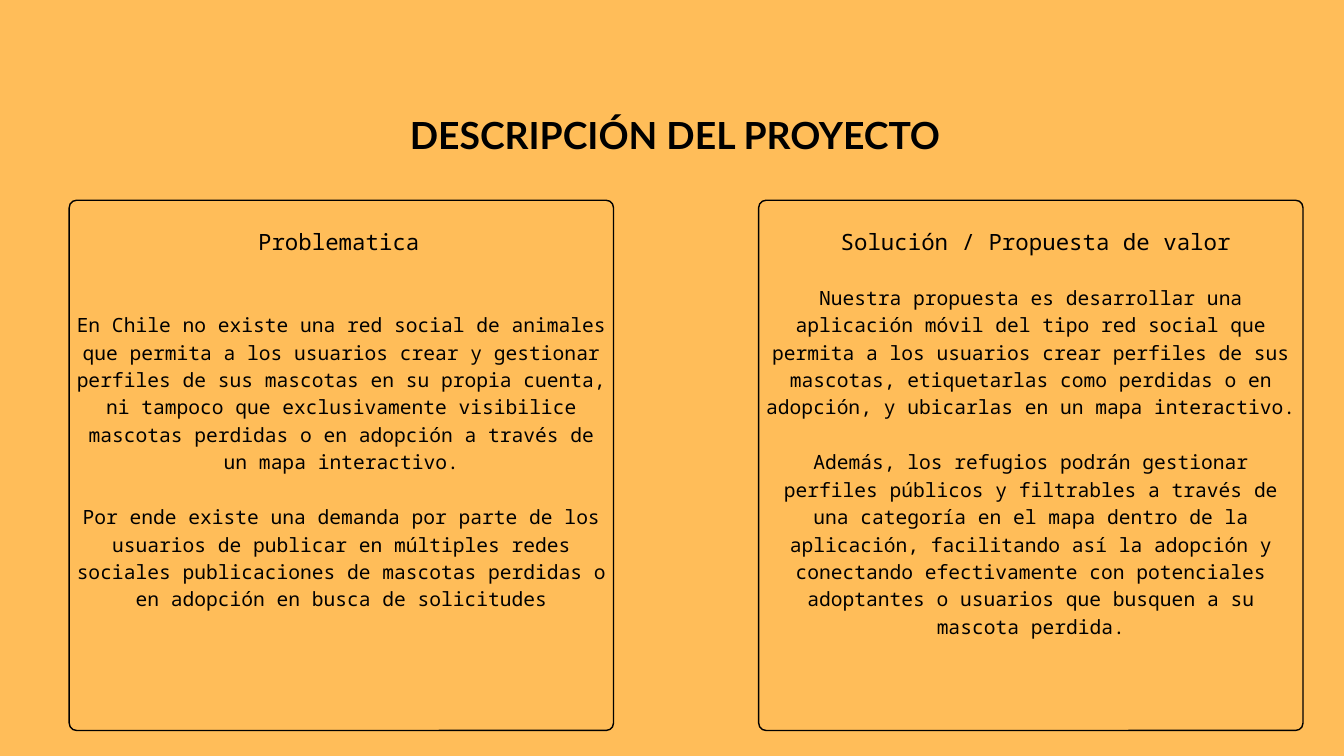
import dataclasses
import pptx
import pptx.dml.color
import pptx.enum.shapes
import pptx.enum.text
import pptx.util

Inches = pptx.util.Inches
Pt = pptx.util.Pt
Align = pptx.enum.text.PP_ALIGN
Anchor = pptx.enum.text.MSO_ANCHOR


@dataclasses.dataclass(frozen=True)
class Theme:
    """Colours, fonts and type sizes of the deck."""
    back: str = "FFBD59"
    ink: str = "000000"
    bold: str = "Lato"
    mono: str = "Noto Sans Mono"
    title: float = 40
    head: float = 24
    body: float = 21


THEME = Theme()

CARDS = [
    (1.03, "Problematica", 2.81, 2.49, [
        "En Chile no existe una red social de animales que permita a los usuarios "
        "crear y gestionar perfiles de sus mascotas en su propia cuenta, ni tampoco "
        "que exclusivamente visibilice mascotas perdidas o en adopción a través de "
        "un mapa interactivo.",
        "Por ende existe una demanda por parte de los usuarios de publicar en "
        "múltiples redes sociales publicaciones de mascotas perdidas o en adopción "
        "en busca de solicitudes",
    ]),
    (11.29, "Solución / Propuesta de valor", 1.22, 6.16, [
        "Nuestra propuesta es desarrollar una aplicación móvil del tipo red social "
        "que permita a los usuarios crear perfiles de sus mascotas, etiquetarlas "
        "como perdidas o en adopción, y ubicarlas en un mapa interactivo.",
        "Además, los refugios podrán gestionar perfiles públicos y filtrables a "
        "través de una categoría en el mapa dentro de la aplicación, facilitando "
        "así la adopción y conectando efectivamente con potenciales adoptantes o "
        "usuarios que busquen a su mascota perdida.",
    ]),
]


def color(code):
    """Turn a hex code into a colour."""
    return pptx.dml.color.RGBColor.from_string(code)


def write(shape, paras, font, size, lead, align=Align.CENTER,
          anchor=Anchor.TOP, inset=0, bold=False):
    """Fill a shape with evenly led paragraphs, one line apart."""
    frame = shape.text_frame
    frame.text = "\n".join(paras)
    frame.word_wrap = True
    frame.auto_size = pptx.enum.text.MSO_AUTO_SIZE.NONE
    frame.vertical_anchor = anchor
    frame.margin_left = frame.margin_right = Inches(inset)
    frame.margin_top = frame.margin_bottom = Inches(inset)
    for rank, para in enumerate(frame.paragraphs):
        para.alignment = align
        para.line_spacing = Pt(lead)
        para.space_before = Pt(lead if rank else 0)
        for run in para.runs:
            run.font.name = font
            run.font.size = Pt(size)
            run.font.bold = bold
            run.font.color.rgb = color(THEME.ink)


def add_title(slide, left, top, width, height):
    """Place the slide title in the given box."""
    title = slide.shapes.title
    title.left, title.top = Inches(left), Inches(top)
    title.width, title.height = Inches(width), Inches(height)
    write(title, ["DESCRIPCIÓN DEL PROYECTO"], THEME.bold, THEME.title, 43.2,
          bold=True)


def add_card(slide, left, top, width, height, head, shift, span, paras):
    """Draw an outlined card with a heading and centred body text."""
    shapes = slide.shapes
    frame = shapes.add_shape(
        pptx.enum.shapes.MSO_SHAPE.ROUNDED_RECTANGLE,
        Inches(left), Inches(top), Inches(width), Inches(height))
    frame.adjustments[0] = 0.11 / min(width, height)
    frame.shadow.inherit = False
    frame.fill.background()
    frame.line.color.rgb = color(THEME.ink)
    frame.line.width = Pt(1.5)

    rise = 0.16
    body = shapes.add_textbox(Inches(left), Inches(top - rise),
                              Inches(width), Inches(height + rise))
    write(body, paras, THEME.mono, THEME.body, 29.4,
          anchor=Anchor.MIDDLE, inset=0.06)

    label = shapes.add_textbox(Inches(left + shift), Inches(top + 0.29),
                               Inches(span), Inches(0.49))
    write(label, [head], THEME.mono, THEME.head, 37.7, align=Align.LEFT)


def main():
    """Build and save the slide."""
    deck = pptx.Presentation()
    deck.slide_width, deck.slide_height = Inches(20), Inches(11.25)
    slide = deck.slides.add_slide(deck.slide_layouts.get_by_name("Title Only"))
    fill = slide.background.fill
    fill.solid()
    fill.fore_color.rgb = color(THEME.back)
    add_title(slide, 5.56, 1.73, 8.97, 0.64)
    for left, head, shift, span, paras in CARDS:
        add_card(slide, left, 2.98, 8.1, 7.89, head, shift, span, paras)
    deck.save("out.pptx")


if __name__ == "__main__":
    main()
